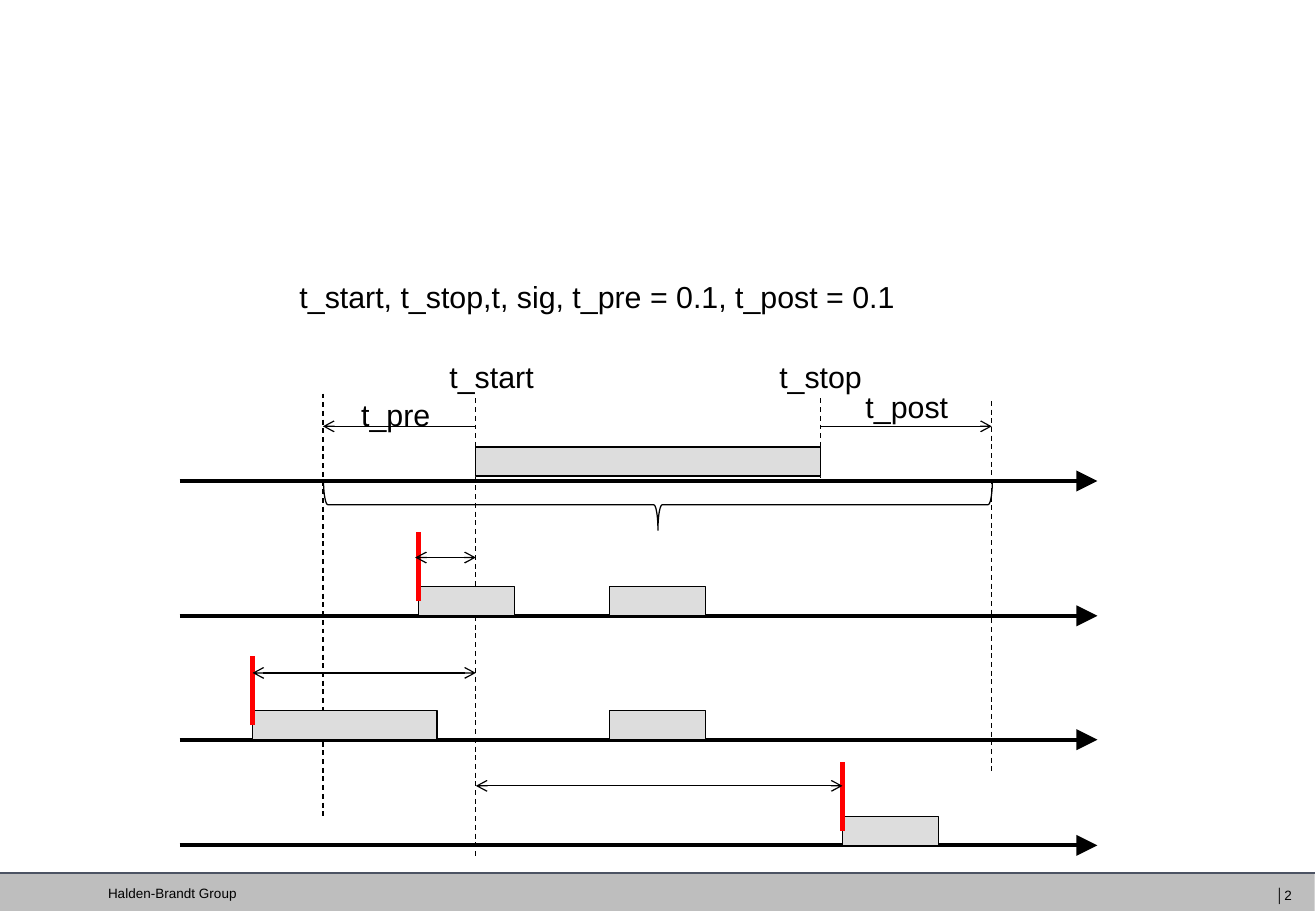
from dataclasses import dataclass

from lxml import etree
from pptx import Presentation
from pptx import util as u
from pptx.dml.color import RGBColor
from pptx.enum import dml, shapes, text
from pptx.oxml.ns import qn


@dataclass(frozen=True)
class Theme:
    font: str = "Arial"
    ink: RGBColor = RGBColor(0, 0, 0)
    bar: RGBColor = RGBColor(0xDD, 0xDD, 0xDD)
    marker: RGBColor = RGBColor(0xFF, 0, 0)
    footer: RGBColor = RGBColor(0xBE, 0xBE, 0xBE)
    footer_rule: RGBColor = RGBColor(0x4C, 0x53, 0x63)
    label_size: int = 18
    footer_size: int = 8
    thin: float = 0.75
    rule: float = 1
    axis: float = 2.5
    thick: float = 3


@dataclass(frozen=True)
class Box:
    left: int
    top: int
    width: int
    height: int


@dataclass(frozen=True)
class Label:
    words: str
    box: Box


@dataclass(frozen=True)
class Line:
    x1: int
    y1: int
    x2: int
    y2: int
    color: RGBColor
    weight: float
    dashed: bool = False
    head: str = ""
    tail: str = ""
    arrow_size: str = "med"


@dataclass(frozen=True)
class Bar:
    left: int
    width: int
    marked: bool = False


@dataclass(frozen=True)
class Lane:
    base: int
    bars: tuple[Bar, ...]
    gap: int = 0


THEME = Theme()
PX = u.Inches(0.01)
T_PRE, T_START, T_STOP, T_POST = 266, 392, 676, 817
AXIS_START, AXIS_END = 148, 904
BAR_HEIGHT = 24
MARKER_RISE = 69
SHIFT_Y = 351
FOOTER_TOP, FOOTER_WIDTH = 719, 1083

LANES = (
    Lane(396, (Bar(T_START, T_STOP - T_START),), gap=4),
    Lane(507, (Bar(345, 79, marked=True), Bar(502, 79))),
    Lane(609, (Bar(208, 152, marked=True), Bar(502, 79))),
    Lane(696, (Bar(694, 79, marked=True),)),
)
GUIDES = ((T_START, 328, 706), (T_STOP, 328, 393), (T_PRE, 324, 674), (T_POST, 330, 635))
SHIFTS = ((T_START, T_PRE), (T_STOP, T_POST))
DISTANCES = ((342, 459), (208, 554), (694, 647))
LABELS = (
    Label("t_start, t_stop,t, sig, t_pre = 0.1, t_post = 0.1", Box(222, 224, 540, 40)),
    Label("t_start", Box(350, 290, 110, 40)),
    Label("t_pre", Box(271, 321, 110, 40)),
    Label("t_stop", Box(621, 290, 110, 40)),
    Label("t_post", Box(692, 315, 110, 40)),
)
FOOTER_NAME = Label("Halden-Brandt Group", Box(89, 730, 140, 13))
PAGE_NUMBER = Label("│2", Box(1051, 729, 40, 16))


def draw_line(slide, line: Line):
    connector = slide.shapes.add_connector(
        shapes.MSO_CONNECTOR.STRAIGHT,
        line.x1 * PX, line.y1 * PX, line.x2 * PX, line.y2 * PX,
    )
    connector.line.color.rgb = line.color
    connector.line.width = u.Pt(line.weight)
    if line.dashed:
        connector.line.dash_style = dml.MSO_LINE.DASH
    properties = connector.element.spPr
    outline = properties.find(qn("a:ln"))
    for tag, kind in (("a:headEnd", line.head), ("a:tailEnd", line.tail)):
        if kind:
            etree.SubElement(outline, qn(tag), type=kind, w=line.arrow_size, len=line.arrow_size)
    etree.SubElement(properties, qn("a:effectLst"))
    return connector


def draw_shape(slide, kind: shapes.MSO_SHAPE, box: Box, fill: RGBColor | None, outlined: bool = True):
    shape = slide.shapes.add_shape(
        kind, box.left * PX, box.top * PX, box.width * PX, box.height * PX
    )
    shape.shadow.inherit = False
    if fill is None:
        shape.fill.background()
    else:
        shape.fill.solid()
        shape.fill.fore_color.rgb = fill
    if outlined:
        shape.line.color.rgb = THEME.ink
        shape.line.width = u.Pt(THEME.thin)
    else:
        shape.line.fill.background()
    return shape


def draw_text(slide, label: Label, size: int):
    box = label.box
    shape = slide.shapes.add_textbox(
        box.left * PX, box.top * PX, box.width * PX, box.height * PX
    )
    frame = shape.text_frame
    frame.word_wrap = True
    frame.text = label.words
    paragraph = frame.paragraphs[0]
    paragraph.font.name = THEME.font
    paragraph.font.size = u.Pt(size)
    paragraph.font.color.rgb = THEME.ink
    return frame


def draw_label(slide, label: Label) -> None:
    frame = draw_text(slide, label, THEME.label_size)
    frame.paragraphs[0].alignment = text.PP_ALIGN.CENTER


def draw_footer(slide) -> None:
    band = Box(0, FOOTER_TOP, FOOTER_WIDTH, 31)
    draw_shape(slide, shapes.MSO_SHAPE.RECTANGLE, band, THEME.footer, outlined=False)
    draw_line(slide, Line(0, FOOTER_TOP, FOOTER_WIDTH, FOOTER_TOP, THEME.footer_rule, THEME.rule))
    name = draw_text(slide, FOOTER_NAME, THEME.footer_size)
    name.paragraphs[0].line_spacing = 0.95
    number = draw_text(slide, PAGE_NUMBER, THEME.footer_size)
    number.vertical_anchor = text.MSO_ANCHOR.MIDDLE
    for frame in (name, number):
        frame.margin_left = frame.margin_top = frame.margin_right = frame.margin_bottom = 0


def draw_lane(slide, lane: Lane) -> None:
    draw_line(slide, Line(AXIS_START, lane.base, AXIS_END, lane.base,
                          THEME.ink, THEME.axis, tail="triangle", arrow_size="lg"))
    top = lane.base - lane.gap - BAR_HEIGHT
    for bar in lane.bars:
        box = Box(bar.left, top, bar.width, BAR_HEIGHT)
        rectangle = draw_shape(slide, shapes.MSO_SHAPE.RECTANGLE, box, THEME.bar)
        if bar.marked:
            marker = draw_line(slide, Line(bar.left, top + BAR_HEIGHT // 2, bar.left,
                                           lane.base - MARKER_RISE, THEME.marker, THEME.thick))
            marker.begin_connect(rectangle, 1)


def main() -> None:
    presentation = Presentation()
    presentation.slide_width = 1084 * PX
    presentation.slide_height = 750 * PX
    slide = presentation.slides.add_slide(presentation.slide_layouts[6])

    draw_footer(slide)
    for x, top, bottom in GUIDES:
        draw_line(slide, Line(x, top, x, bottom, THEME.ink, THEME.thin, dashed=True))
    for lane in LANES:
        draw_lane(slide, lane)
    for start, end in SHIFTS:
        draw_line(slide, Line(start, SHIFT_Y, end, SHIFT_Y, THEME.ink, THEME.thin, tail="arrow"))
    for x, y in DISTANCES:
        draw_line(slide, Line(T_START, y, x, y, THEME.ink, THEME.thin, head="arrow", tail="arrow"))
    brace = draw_shape(slide, shapes.MSO_SHAPE.LEFT_BRACE, Box(521, 140, 42, 551), None)
    brace.rotation = 270
    for label in LABELS:
        draw_label(slide, label)

    presentation.save("out.pptx")


if __name__ == "__main__":
    main()
